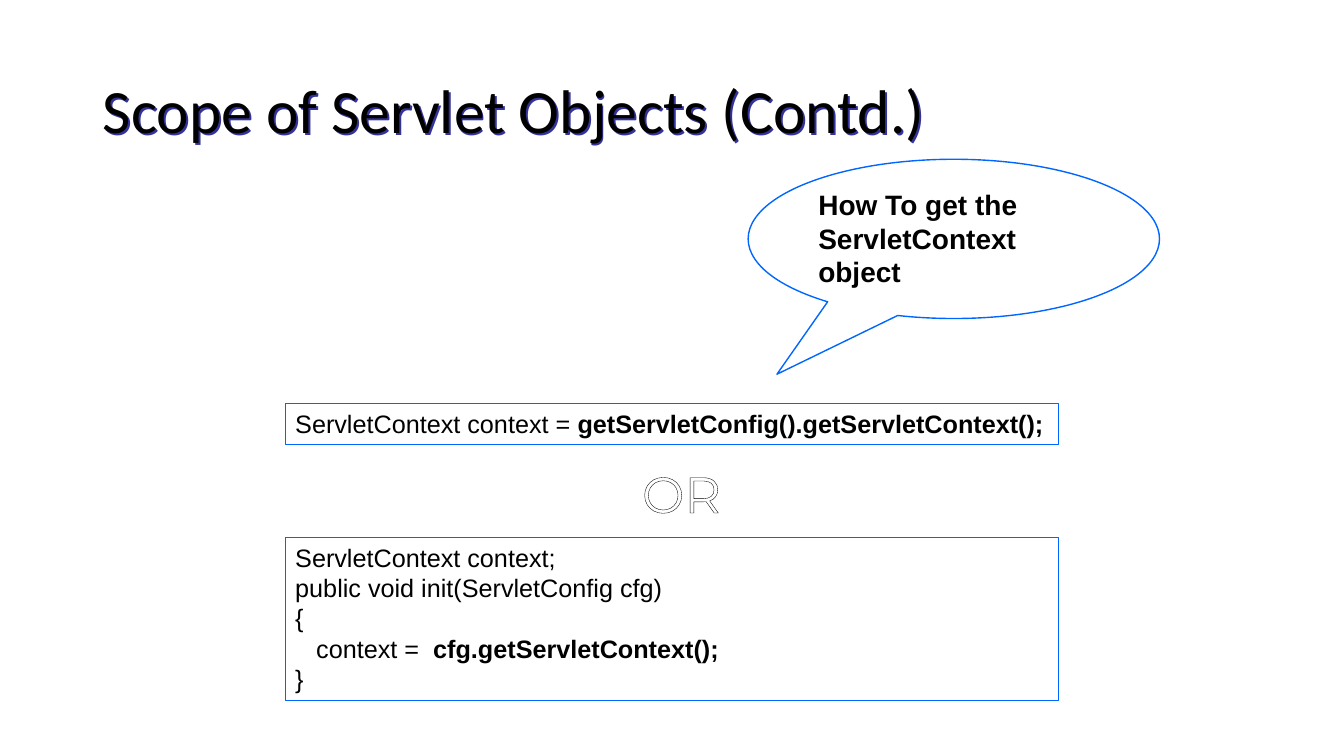
from dataclasses import dataclass

from lxml.etree import SubElement
from pptx import Presentation
from pptx.dml.color import RGBColor
from pptx.enum.shapes import MSO_SHAPE
from pptx.enum.text import MSO_ANCHOR, MSO_AUTO_SIZE, PP_ALIGN
from pptx.oxml.ns import qn
from pptx.util import Inches, Pt


@dataclass(frozen=True)
class Theme:
    """Colours, fonts and type sizes of the slide."""
    text: str = "000000"
    paper: str = "FFFFFF"
    border: str = "0066FF"
    title_shadow: str = "333399"
    title_font: str = "Calibri"
    body_font: str = "Arial"
    or_font: str = "Montserrat"
    title_size: int = 44
    or_size: int = 36
    callout_size: int = 20
    code_size: int = 18


THEME = Theme()


def style(p, font, size, color=THEME.text, bold=None):
    """Set alignment and font of a paragraph."""
    p.alignment = PP_ALIGN.LEFT
    p.font.name = font
    p.font.size = Pt(size)
    p.font.color.rgb = RGBColor.from_string(color)
    p.font.bold = bold


def add_shadow(sp, color):
    """Give an unfilled shape a shadow, which falls from its text."""
    sp.fill.background()
    effects = SubElement(sp._element.spPr, qn("a:effectLst"))
    shadow = SubElement(effects, qn("a:outerShdw"), blurRad="0",
                        dist=str(Pt(2)), dir="2700000", algn="tl",
                        rotWithShape="0")
    SubElement(shadow, qn("a:srgbClr"), val=color)


def add_title(slide, text):
    """Fill the title placeholder and give its text a shadow."""
    sp = slide.shapes.title
    sp.left, sp.top = Inches(0.92), Inches(0.4)
    sp.width, sp.height = Inches(11.5), Inches(1.45)
    add_shadow(sp, THEME.title_shadow)
    tf = sp.text_frame
    tf.vertical_anchor = MSO_ANCHOR.MIDDLE
    p = tf.paragraphs[0]
    p.text = text
    p.line_spacing = 0.9
    style(p, THEME.title_font, THEME.title_size)


def add_outlined(slide, kind, left, top, width, height):
    """Add an unfilled shape with a blue border and top-anchored text."""
    sp = slide.shapes.add_shape(kind, Inches(left), Inches(top),
                                Inches(width), Inches(height))
    sp.shadow.inherit = False
    sp.fill.background()
    sp.line.color.rgb = RGBColor.from_string(THEME.border)
    sp.line.width = Pt(1)
    sp.text_frame.word_wrap = True
    sp.text_frame.vertical_anchor = MSO_ANCHOR.TOP
    return sp


def add_callout(slide, text):
    """Add the speech bubble."""
    sp = add_outlined(slide, MSO_SHAPE.OVAL_CALLOUT, 7.42, 1.58, 4.08, 1.58)
    sp.adjustments[0], sp.adjustments[1] = -0.43, 0.85
    p = sp.text_frame.paragraphs[0]
    p.text = text
    style(p, THEME.body_font, THEME.callout_size, bold=True)


def add_code(slide, top, height, lines):
    """Add a code box from pairs of plain and bold text."""
    sp = add_outlined(slide, MSO_SHAPE.RECTANGLE, 2.83, top, 7.67, height)
    tf = sp.text_frame
    tf.auto_size = MSO_AUTO_SIZE.SHAPE_TO_FIT_TEXT
    for i, (plain, strong) in enumerate(lines):
        p = tf.add_paragraph() if i else tf.paragraphs[0]
        p.add_run().text = plain
        if strong:
            r = p.add_run()
            r.text = strong
            r.font.bold = True
        style(p, THEME.body_font, THEME.code_size)


def add_or(slide):
    """Add the outlined word between the code boxes."""
    sp = slide.shapes.add_textbox(Inches(6.27), Inches(4.54),
                                  Inches(1), Inches(0.71))
    tf = sp.text_frame
    tf.word_wrap = False
    tf.auto_size = MSO_AUTO_SIZE.NONE
    tf.margin_right = 0
    p = tf.paragraphs[0]
    r = p.add_run()
    r.text = "OR"
    style(p, THEME.or_font, THEME.or_size, THEME.paper)
    outline = SubElement(r.font._element, qn("a:ln"), w=str(Pt(0.75)))
    fill = SubElement(outline, qn("a:solidFill"))
    SubElement(fill, qn("a:srgbClr"), val=THEME.text)


def main():
    """Build and save the slide."""
    prs = Presentation()
    prs.slide_width, prs.slide_height = Inches(13.33), Inches(7.5)
    slide = prs.slides.add_slide(prs.slide_layouts[5])
    add_title(slide, "Scope of Servlet Objects (Contd.)")
    add_callout(slide, "How To get the ServletContext object")
    add_code(slide, 4, 0.41, [
        ("ServletContext context = ", "getServletConfig().getServletContext();"),
    ])
    add_or(slide)
    add_code(slide, 5.33, 1.62, [
        ("ServletContext context;", ""),
        ("public void init(ServletConfig cfg)", ""),
        ("{", ""),
        ("   context =  ", "cfg.getServletContext();"),
        ("}", ""),
    ])
    prs.save("out.pptx")


if __name__ == "__main__":
    main()
